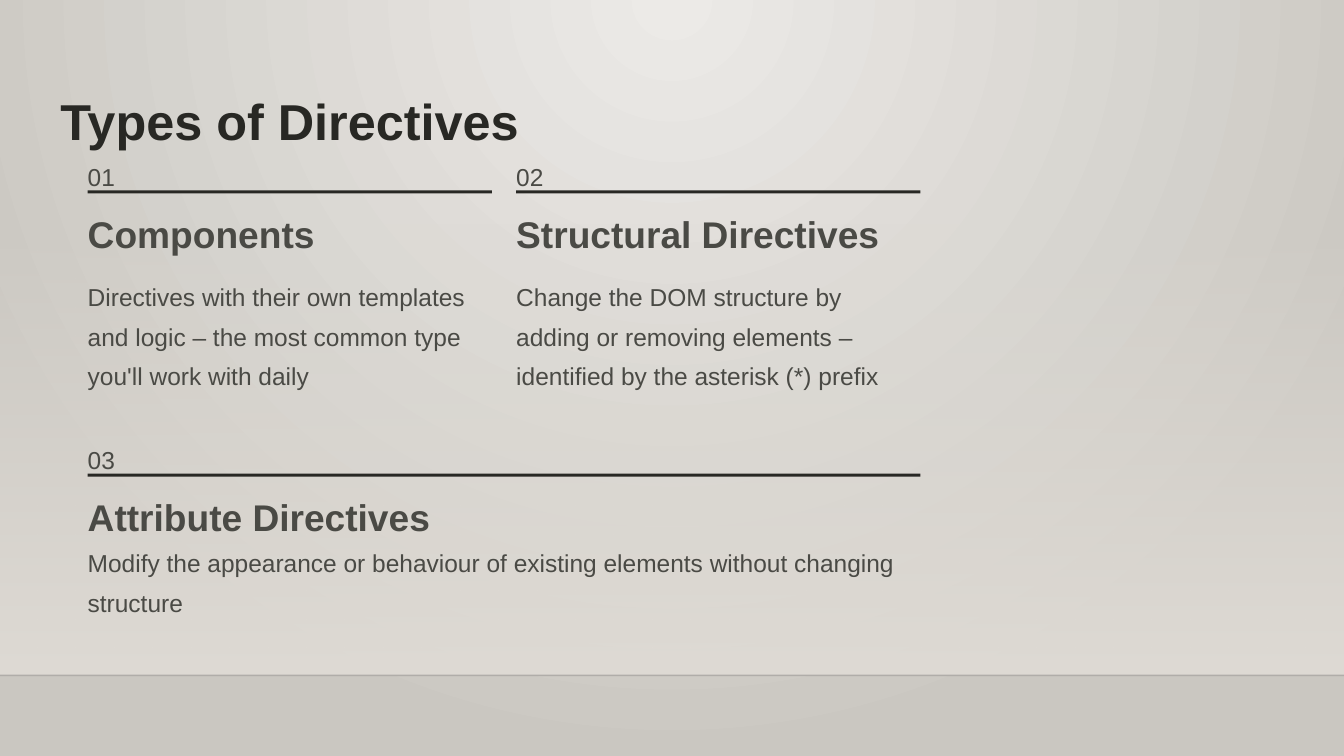
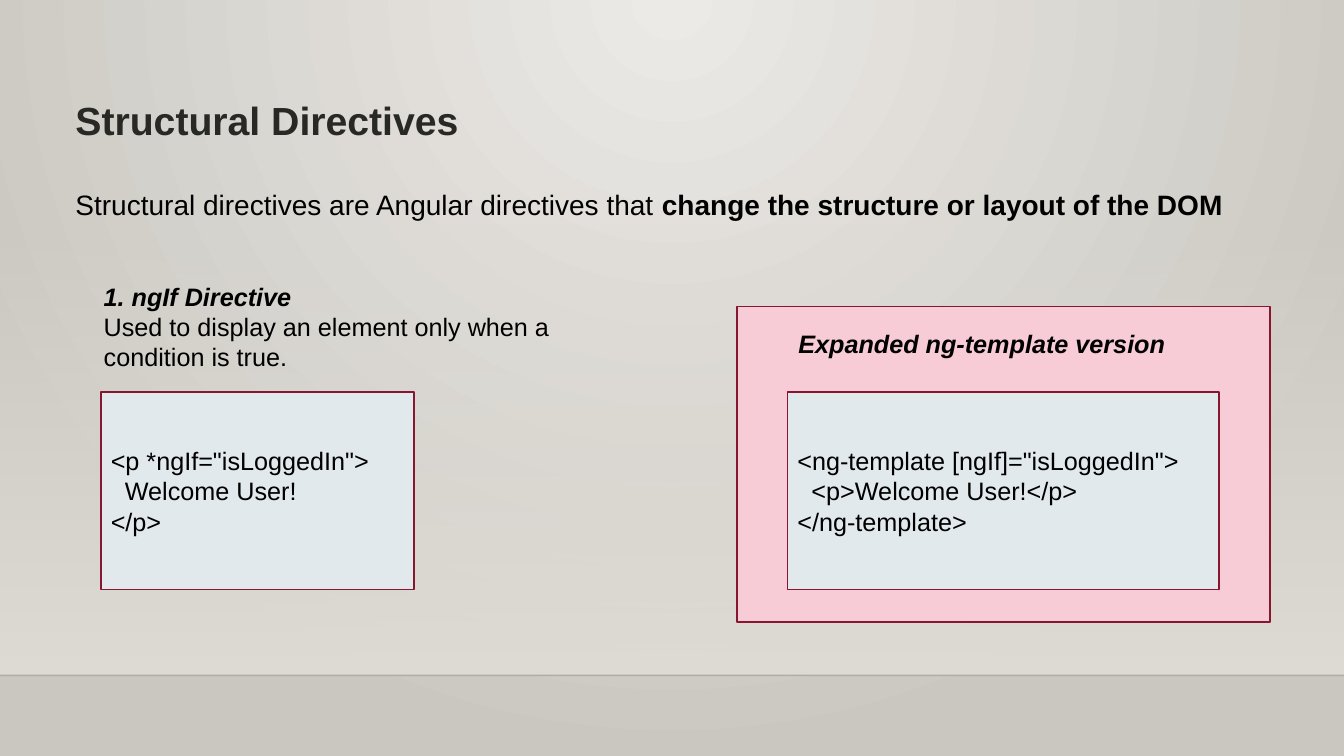
"""Build two slides about directives."""
import pptx
import pptx.dml.color
import pptx.enum.shapes
import pptx.enum.text
import pptx.oxml
import pptx.oxml.ns
import pptx.util

Inches = pptx.util.Inches
Pt = pptx.util.Pt
WIDE, HIGH, FLOOR = 13.33, 7.5, 6.7
FONT = "Arial"
DARK, GREY, BLACK = "282824", "4A4A45", "000000"
WINE, PINK, PALE, SAND = "871631", "F7CCD6", "E1E9EC", "DFDBD5"


def color(code):
    """Turn a hex string into a colour."""
    return pptx.dml.color.RGBColor.from_string(code)


def node(text):
    """Parse a piece of drawing XML."""
    names = pptx.oxml.ns.nsdecls("a")
    return pptx.oxml.parse_xml(f"<a:top {names}>{text}</a:top>")[0]


def grade(root, stops, aim):
    """Give the gradient in root its stops and direction."""
    fill = root.xpath(".//a:gradFill")[0]
    fill.clear()
    marks = "".join(
        f'<a:gs pos="{spot * 1000}"><a:srgbClr val="{code}">'
        f'<a:alpha val="{alpha * 1000}"/></a:srgbClr></a:gs>'
        for spot, code, alpha in stops)
    fill.append(node(f"<a:gsLst>{marks}</a:gsLst>"))
    fill.append(node(aim))


def rect(slide, left, top, width, height, fill=None, line=None):
    """Add a plain rectangle."""
    kind = pptx.enum.shapes.MSO_SHAPE.RECTANGLE
    shape = slide.shapes.add_shape(
        kind, Inches(left), Inches(top), Inches(width), Inches(height))
    shape.shadow.inherit = False
    if fill:
        shape.fill.solid()
        shape.fill.fore_color.rgb = color(fill)
    if line:
        shape.line.color.rgb = color(line)
        shape.line.width = Pt(1.25)
    else:
        shape.line.fill.background()
    return shape


def frame(slide, left, top, width, height, wrap=True, inset=True):
    """Add a text box and return its text frame."""
    box = slide.shapes.add_textbox(
        Inches(left), Inches(top), Inches(width), Inches(height))
    text = box.text_frame
    text.word_wrap = wrap
    if inset:
        text.auto_size = pptx.enum.text.MSO_AUTO_SIZE.SHAPE_TO_FIT_TEXT
    else:
        text.margin_left = text.margin_right = 0
        text.margin_top = text.margin_bottom = 0
    return text


def write(text, words, size=18, ink=BLACK, bold=False, slant=False, lead=None):
    """Add a paragraph in one style."""
    para = text.add_paragraph() if text.text else text.paragraphs[0]
    para.text = words
    para.alignment = pptx.enum.text.PP_ALIGN.LEFT
    font = para.font
    font.name, font.size, font.bold, font.italic = FONT, Pt(size), bold, slant
    font.color.rgb = color(ink)
    if lead:
        para.line_spacing = Pt(lead)
    return para


def label(slide, spot, words, size, ink, bold, lead, wrap=False):
    """Add one paragraph in a box without insets."""
    text = frame(slide, *spot, wrap=wrap, inset=False)
    write(text, words, size, ink, bold, lead=lead)


def stage(deck):
    """Add a slide with the shared band and floor line."""
    slide = deck.slides.add_slide(deck.slide_layouts[6])
    band = rect(slide, 0, 2.21, WIDE, FLOOR - 2.21)
    band.fill.gradient()
    grade(band.element, [(0, SAND, 0), (100, SAND, 100)],
          '<a:lin ang="5400000" scaled="0"/>')
    edge = slide.shapes.add_connector(
        pptx.enum.shapes.MSO_CONNECTOR.STRAIGHT,
        0, Inches(FLOOR), Inches(WIDE), Inches(FLOOR))
    edge.line.color.rgb = color("000001")
    edge.line.width = Pt(1)
    edge.element.xpath(".//a:ln//a:srgbClr")[0].append(
        node('<a:alpha val="20000"/>'))
    edge.element.spPr.append(node("<a:effectLst/>"))
    return slide


def card(slide, mark, left, top, width, drop, head, body):
    """Add a numbered block with a rule, heading and body."""
    label(slide, (left, top, 0.5, 0.31), mark, 17.5, GREY, False, 28.5)
    rect(slide, left, top + 0.39, width, 0.03, DARK)
    label(slide, (left, top + 0.58, 3.72, 0.47), head, 26.5, GREY, True, 33)
    label(slide, (left, top + drop, width, 1.19), body,
          17.5, GREY, False, 28.5, wrap=True)


def code(slide, left, width, lines):
    """Add a code panel whose middle line is indented."""
    text = rect(slide, left, 3.89, width, 1.96, PALE, WINE).text_frame
    text.word_wrap = True
    text.vertical_anchor = pptx.enum.text.MSO_ANCHOR.MIDDLE
    paras = [write(text, line) for line in lines]
    paras[1]._p.get_or_add_pPr().set("marL", str(Inches(0.14)))


def types(deck):
    """Build the slide on directive types."""
    slide = stage(deck)
    label(slide, (0.6, 0.72, 6.2, 0.78), "Types of Directives",
          36, DARK, True, 55.5)
    left, width, gap = 0.87, 4.01, 0.24
    card(slide, "01", left, 1.5, width, 1.19, "Components",
         "Directives with their own templates and logic – the most common "
         "type you'll work with daily")
    card(slide, "02", left + width + gap, 1.5, width, 1.19,
         "Structural Directives",
         "Change the DOM structure by adding or removing elements – "
         "identified by the asterisk (*) prefix")
    card(slide, "03", left, 4.31, 2 * width + gap, 1.02,
         "Attribute Directives",
         "Modify the appearance or behaviour of existing elements without "
         "changing structure")


def struct(deck):
    """Build the slide on structural directives."""
    slide = stage(deck)
    text = frame(slide, 0.65, 0.6, 12.2, 1.54)
    write(text, "Structural Directives", 28, DARK, True, lead=55.5)
    para = write(text, "Structural directives are Angular directives that ",
                 20, lead=55.5)
    run = para.add_run()
    run.text = "change the structure or layout of the DOM"
    run.font.bold = True
    code(slide, 1, 3.11,
         ['<p *ngIf="isLoggedIn">', "Welcome User!", "</p>"])
    text = frame(slide, 0.93, 2.74, 5.51, 1.01)
    write(text, "1. ngIf Directive", bold=True, slant=True)
    write(text, "Used to display an element only when a condition is true.")
    rect(slide, 7.31, 3.04, 5.29, 3.13, PINK, WINE)
    text = frame(slide, 7.82, 3.21, 5.51, 0.4)
    write(text, "Expanded ng-template version", bold=True, slant=True)
    code(slide, 7.81, 4.28,
         ['<ng-template [ngIf]="isLoggedIn">', "<p>Welcome User!</p>",
          "</ng-template>"])


def main():
    """Build and save the deck."""
    deck = pptx.Presentation()
    deck.slide_width, deck.slide_height = Inches(WIDE), Inches(HIGH)
    master = deck.slide_master
    master.background.fill.gradient()
    grade(master.element, [(0, "ECEAE7", 100), (100, "CAC7C1", 100)],
          '<a:path path="circle">'
          '<a:fillToRect l="43000" t="0" r="43000" b="100000"/></a:path>')
    types(deck)
    struct(deck)
    deck.save("out.pptx")


if __name__ == "__main__":
    main()
